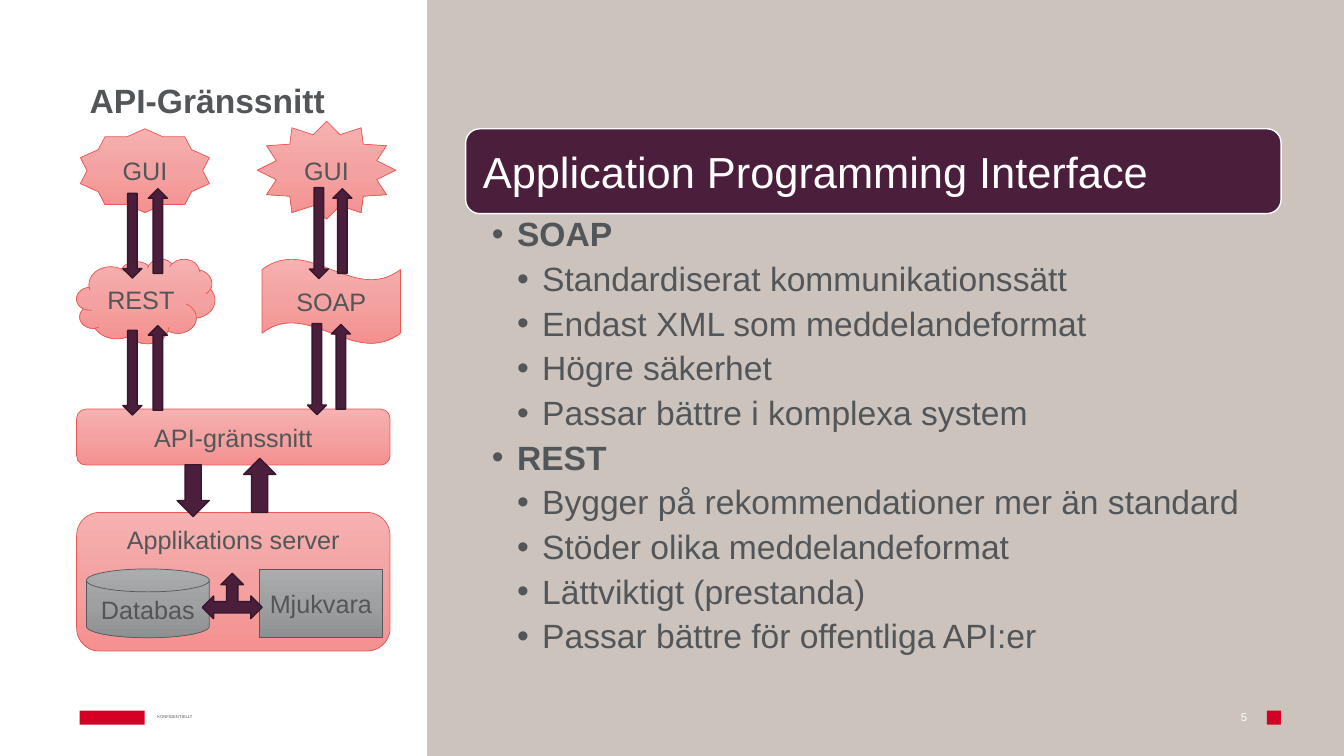
from copy import deepcopy

from lxml import etree
from pptx import Presentation
from pptx.dml.color import RGBColor
from pptx.enum.shapes import MSO_SHAPE
from pptx.enum.text import MSO_ANCHOR, MSO_AUTO_SIZE, PP_ALIGN
from pptx.oxml.ns import qn
from pptx.util import Pt

RECT = MSO_SHAPE.RECTANGLE
ROUNDED = MSO_SHAPE.ROUNDED_RECTANGLE
DISK = MSO_SHAPE.FLOWCHART_MAGNETIC_DISK
CLOUD = MSO_SHAPE.CLOUD
WAVE = MSO_SHAPE.WAVE
STAR_10 = MSO_SHAPE.STAR_10_POINT
STAR_12 = MSO_SHAPE.STAR_12_POINT
DOWN = MSO_SHAPE.DOWN_ARROW
UP = MSO_SHAPE.UP_ARROW
THREE_WAY = MSO_SHAPE.LEFT_RIGHT_UP_ARROW
TOP = MSO_ANCHOR.TOP
MIDDLE = MSO_ANCHOR.MIDDLE
LEFT = PP_ALIGN.LEFT
CENTER = PP_ALIGN.CENTER
NO_FIT = MSO_AUTO_SIZE.NONE

FONT = "Arial"
GREY, WHITE, RED, SAND = "535659", "FFFFFF", "D40026", "CBC3BC"
PLUM, PLUM_EDGE = "4B1F3C", "37172C"
PINK = ("F6B1B0", "F3A2A1", "F59190", "EB5755")
STEEL = ("ABACAD", "9FA0A1", "8E9092", "55585C")


def color(value):
    return RGBColor.from_string(value)


class Slide:
    def __init__(self, page):
        self.page = page

    def text(self, box, lines, size, ink=GREY, bold=False, align=LEFT,
             anchor=TOP, insets=(7.2, 3.6, 7.2, 3.6)):
        frame = box.text_frame
        frame.text = lines
        frame.word_wrap = True
        frame.auto_size = NO_FIT
        frame.vertical_anchor = anchor
        frame.margin_left, frame.margin_top, frame.margin_right, frame.margin_bottom = map(Pt, insets)
        for para in frame.paragraphs:
            para.alignment = align
            for span in para.runs:
                span.font.name = FONT
                span.font.size = Pt(size)
                span.font.bold = bold
                span.font.color.rgb = color(ink)
        return frame

    def title(self, place, text):
        box = self.page.shapes.title
        box.left, box.top, box.width, box.height = map(Pt, place)
        self.text(box, text, 24, bold=True)

    def label(self, place, text, size, **style):
        box = self.page.shapes.add_textbox(*map(Pt, place))
        return self.text(box, text, size, **style)

    def shape(self, kind, place, fill, edge=None, weight=1):
        box = self.page.shapes.add_shape(kind, *map(Pt, place))
        box.shadow.inherit = False
        box.fill.solid()
        box.fill.fore_color.rgb = color(fill)
        if edge:
            box.line.color.rgb = color(edge)
            box.line.width = Pt(weight)
        else:
            box.line.fill.background()
        return box

    def node(self, kind, place, text, palette=PINK, anchor=MIDDLE):
        start, middle, end, edge = palette
        box = self.shape(kind, place, start, edge, 0.5)
        box.fill.gradient()
        box.fill.gradient_angle = 270
        first = box._element.spPr.find(".//" + qn("a:gs"))
        halfway = deepcopy(first)
        halfway.set("pos", "50000")
        first.addnext(halfway)
        for stop, shade in zip(box.fill.gradient_stops, (start, middle, end)):
            stop.color.rgb = color(shade)
        self.text(box, text, 18, align=CENTER, anchor=anchor, insets=(0, 3.6, 0, 3.6))

    def arrow(self, kind, place):
        self.shape(kind, place, PLUM, PLUM_EDGE)

    def bullets(self, place, sections):
        lines = [(0, head) for head in ()]
        for head, points in sections:
            lines.append((1, head))
            lines.extend((2, point) for point in points)
        frame = self.label(place, "\n".join(line for _, line in lines), 24,
                           insets=(18.72, 2.88, 17.28, 2.88))
        for para, (level, _) in zip(frame.paragraphs, lines):
            para.level = level
            para.line_spacing = 0.9
            para.space_after = Pt(6)
            para.runs[0].font.bold = level == 1
            settings = para._p.get_or_add_pPr()
            settings.set("marL", str(Pt(18 * level)))
            settings.set("indent", str(-Pt(18)))
            etree.SubElement(settings, qn("a:buFont")).set("typeface", FONT)
            etree.SubElement(settings, qn("a:buChar")).set("char", "•")


def main():
    deck = Presentation()
    deck.slide_width, deck.slide_height = Pt(960), Pt(540)
    slide = Slide(deck.slides.add_slide(deck.slide_layouts[5]))

    slide.shape(RECT, (56.9, 507.6, 46.4, 10), RED)
    slide.shape(RECT, (305.2, 0, 654.8, 540), SAND)
    slide.label((882.7, 504, 21.6, 17.3), "5", 8, ink=WHITE, insets=(3.6,) * 4)
    slide.shape(RECT, (905, 507.6, 10, 10), RED)
    slide.label((103, 506.9, 130.3, 10.8), "KONFIDENTIELLT", 3, anchor=MIDDLE,
                insets=(9.36, 3.6, 3.6, 3.6))
    slide.title((56.9, 53.3, 212.4, 99.4), "API-Gränssnitt")

    banner = slide.shape(ROUNDED, (332.6, 92, 582.5, 60.6), PLUM, WHITE)
    slide.text(banner, "Application Programming Interface", 31, ink=WHITE,
               anchor=MIDDLE, insets=(9.36,) * 4)
    slide.bullets((332.6, 152.6, 582.5, 330.5), [
        ("SOAP", ["Standardiserat kommunikationssätt",
                  "Endast XML som meddelandeformat",
                  "Högre säkerhet",
                  "Passar bättre i komplexa system"]),
        ("REST", ["Bygger på rekommendationer mer än standard",
                  "Stöder olika meddelandeformat",
                  "Lättviktigt (prestanda)",
                  "Passar bättre för offentliga API:er"]),
    ])

    slide.node(ROUNDED, (54.7, 292.2, 223.9, 40), "API-gränssnitt")
    slide.node(ROUNDED, (54.7, 366, 223.9, 99), "Applikations server", anchor=TOP)
    slide.node(DISK, (61.7, 406.4, 87.8, 49.2), "Databas", STEEL)
    slide.node(RECT, (185.3, 406.4, 87.8, 49.2), "Mjukvara", STEEL)
    slide.node(CLOUD, (54.7, 185, 98.9, 60.5), "REST")
    slide.node(WAVE, (187.2, 185, 98.9, 60.5), "SOAP")
    slide.node(STAR_10, (57.4, 92, 92.2, 59.8), "GUI")
    slide.node(STAR_12, (183.8, 86.6, 98.9, 70), "GUI")

    slide.arrow(THREE_WAY, (144.5, 409.5, 42.8, 32.4))
    for kind, left, top, height in [
        (DOWN, 87.8, 138.2, 60.5), (UP, 106, 134.8, 60.5),
        (DOWN, 221, 134, 65), (UP, 237.8, 134.8, 60.5),
        (DOWN, 87.8, 236, 60.5), (UP, 106, 232.6, 60.5),
        (DOWN, 219.6, 231.2, 65), (UP, 236.7, 231.8, 60.5),
    ]:
        slide.arrow(kind, (left, top, 13.6, height))
    slide.arrow(DOWN, (126.5, 332, 23, 37))
    slide.arrow(UP, (174, 327.4, 23, 38.7))

    deck.save("out.pptx")


if __name__ == "__main__":
    main()
